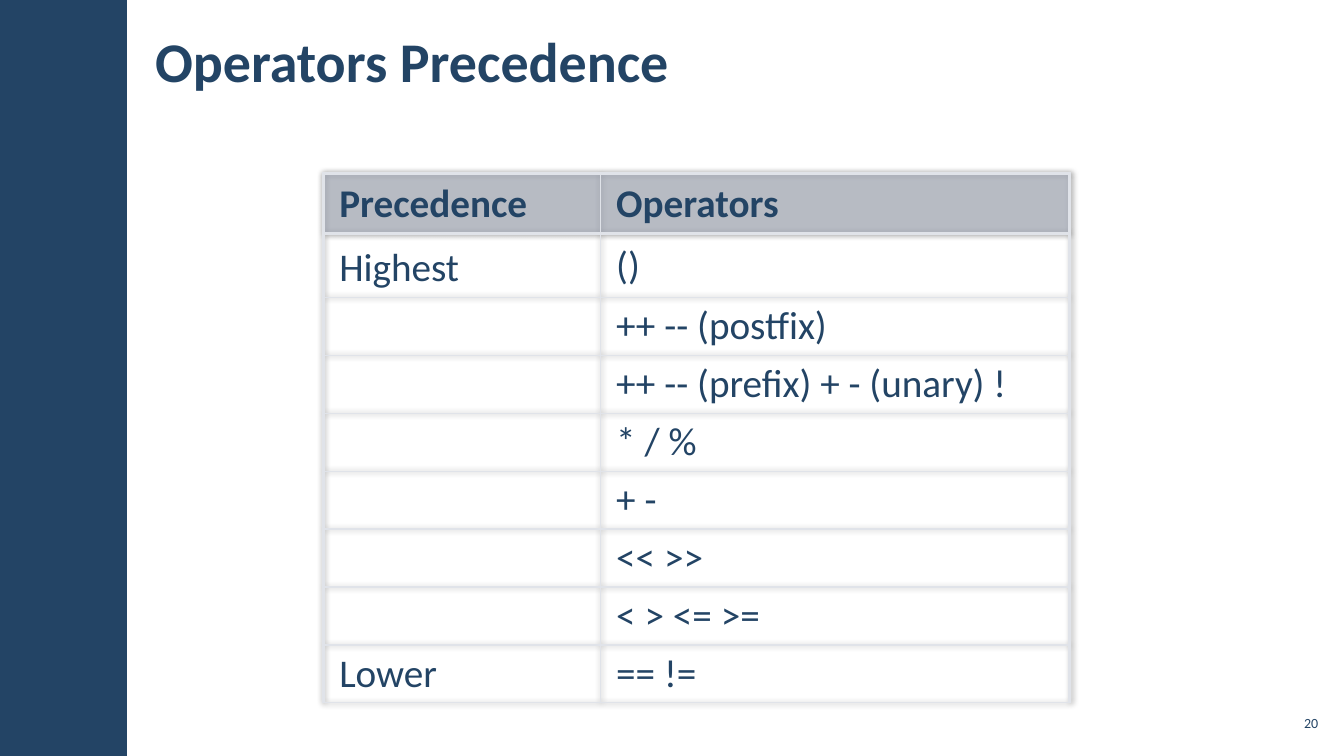
"""Build the operators precedence slide."""
from lxml.etree import SubElement
from pptx import Presentation
from pptx.dml.color import RGBColor
from pptx.enum.shapes import MSO_SHAPE
from pptx.enum.text import MSO_ANCHOR, MSO_AUTO_SIZE, PP_ALIGN
from pptx.oxml import parse_xml
from pptx.oxml.ns import nsdecls, qn
from pptx.util import Cm, Pt

TITLE = "Operators Precedence"
SLIDE_NUMBER = "20"
ROWS = [
    ("Precedence", "Operators"),
    ("Highest", "()"),
    ("", "++ -- (postfix)"),
    ("", "++ -- (prefix) + - (unary) !"),
    ("", "* / %"),
    ("", "+ -"),
    ("", "<< >>"),
    ("", "< > <= >="),
    ("Lower", "== !="),
]
COLORS = {"navy": "234465", "header": "A3ABBC", "border": "E0E3E9"}
FONT = "Calibri"
COLUMN_WIDTHS = [6.98, 11.83]
ROW_HEIGHTS = [1.52, 1.57] + [1.46] * (len(ROWS) - 2)
THICK, THIN = 2.25, 1


def add_text(paragraph, text, size, bold=False):
    run = paragraph.add_run()
    run.text = text
    run.font.name = FONT
    run.font.size = Pt(size)
    run.font.bold = bold
    run.font.color.rgb = RGBColor.from_string(COLORS["navy"])


def set_margins(frame, side, edge):
    frame.margin_left = frame.margin_right = Cm(side)
    frame.margin_top = frame.margin_bottom = Cm(edge)


def add_border(cell, side, width):
    line = SubElement(cell._tc.get_or_add_tcPr(), qn(f"a:ln{side}"), w=str(Pt(width)))
    fill = SubElement(line, qn("a:solidFill"))
    SubElement(fill, qn("a:srgbClr"), val=COLORS["border"])


def format_cell(cell, row, column):
    last_column = len(COLUMN_WIDTHS) - 1
    add_border(cell, "L", THICK if column == 0 else THIN)
    add_border(cell, "R", THICK if column == last_column else THIN)
    add_border(cell, "T", THICK if row < 2 else THIN)
    add_border(cell, "B", THICK if row == 0 else THIN)
    if row == 0:
        cell.fill.solid()
        cell.fill.fore_color.rgb = RGBColor.from_string(COLORS["header"])
        color = cell._tc.tcPr.find(".//" + qn("a:solidFill") + "[last()]")
        color = cell._tc.tcPr.find(qn("a:solidFill")).find(qn("a:srgbClr"))
        SubElement(color, qn("a:alpha"), val="50000")
    else:
        cell.fill.background()
    cell.vertical_anchor = MSO_ANCHOR.MIDDLE
    set_margins(cell, 0.4, 0.13)


def add_title(slide):
    title = slide.shapes.title
    title.left, title.top, title.width, title.height = Cm(3.61), Cm(0.28), Cm(23.34), Cm(2.46)
    frame = title.text_frame
    frame.auto_size = MSO_AUTO_SIZE.NONE
    frame.vertical_anchor = MSO_ANCHOR.MIDDLE
    set_margins(frame, 0.3, 0.1)
    paragraph = frame.paragraphs[0]
    paragraph.alignment = PP_ALIGN.LEFT
    add_text(paragraph, TITLE, 40, True)


def add_side_bar(slide, height):
    bar = slide.shapes.add_shape(MSO_SHAPE.RECTANGLE, 0, 0, Cm(3.2), height)
    bar.shadow.inherit = False
    bar.fill.solid()
    bar.fill.fore_color.rgb = RGBColor.from_string(COLORS["navy"])
    bar.line.fill.background()


def add_precedence_table(slide):
    frame = slide.shapes.add_table(
        len(ROWS), len(COLUMN_WIDTHS), Cm(8.15), Cm(4.37),
        Cm(sum(COLUMN_WIDTHS)), Cm(sum(ROW_HEIGHTS)))
    table = frame.table
    table.first_row = table.horz_banding = False
    table._tbl.tblPr.insert(0, parse_xml(
        f'<a:effectLst {nsdecls("a")}><a:outerShdw blurRad="50800" dist="0" dir="5400000">'
        '<a:srgbClr val="000000"><a:alpha val="40000"/></a:srgbClr>'
        '</a:outerShdw></a:effectLst>'))
    for column, width in zip(table.columns, COLUMN_WIDTHS):
        column.width = Cm(width)
    for row, height in zip(table.rows, ROW_HEIGHTS):
        row.height = Cm(height)
    for row, texts in enumerate(ROWS):
        for column, text in enumerate(texts):
            cell = table.cell(row, column)
            format_cell(cell, row, column)
            if text:
                paragraph = cell.text_frame.paragraphs[0]
                paragraph.line_spacing = Pt(38) if text == "Highest" else 0.95
                add_text(paragraph, text, 28, row == 0)


def add_slide_number(slide):
    box = slide.shapes.add_textbox(Cm(32.13), Cm(17.78), Cm(1.19), Cm(0.86))
    frame = box.text_frame
    frame.word_wrap = True
    frame.vertical_anchor = MSO_ANCHOR.MIDDLE
    set_margins(frame, 0.1, 0.1)
    paragraph = frame.paragraphs[0]
    paragraph.alignment = PP_ALIGN.RIGHT
    add_text(paragraph, SLIDE_NUMBER, 10)


def main():
    presentation = Presentation()
    presentation.slide_width, presentation.slide_height = Cm(33.87), Cm(19.05)
    slide = presentation.slides.add_slide(presentation.slide_layouts[5])
    add_side_bar(slide, presentation.slide_height)
    add_title(slide)
    add_precedence_table(slide)
    add_slide_number(slide)
    presentation.save("out.pptx")


if __name__ == "__main__":
    main()
